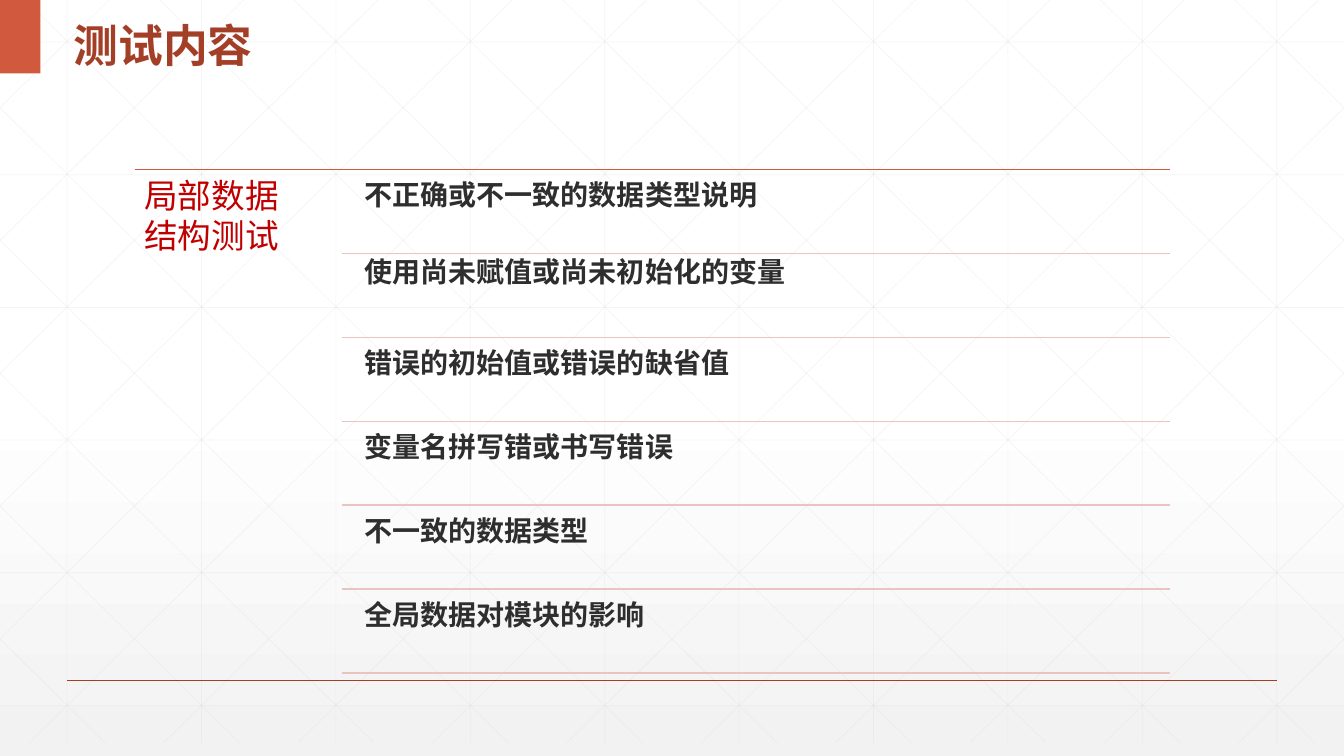
from copy import deepcopy
from dataclasses import dataclass

from pptx import Presentation
from pptx.dml.color import RGBColor
from pptx.enum.shapes import MSO_CONNECTOR, MSO_SHAPE
from pptx.enum.text import MSO_ANCHOR, MSO_AUTO_SIZE, PP_ALIGN
from pptx.oxml.ns import qn
from pptx.util import Cm, Pt


@dataclass(frozen=True)
class Theme:
    font: str = "Arial"
    white: str = "FFFFFF"
    mist: str = "F2F2F2"
    grid: str = "D9D9D9"
    accent: str = "D15A3E"
    dark: str = "A43F27"
    rule: str = "E9C4C0"
    label: str = "C00000"
    ink: str = "2D2E2D"
    title_size: int = 32
    label_size: int = 24
    item_size: int = 20


T = Theme()
WIDTH, HEIGHT = 33.87, 19.05


def add_line(shapes, x1, y1, x2, y2, color, width=1, alpha=None):
    c = shapes.add_connector(MSO_CONNECTOR.STRAIGHT, Cm(x1), Cm(y1), Cm(x2), Cm(y2))
    c.line.color.rgb = RGBColor.from_string(color)
    c.line.width = Pt(width)
    sp_pr = c.element.spPr
    sp_pr.append(sp_pr.makeelement(qn("a:effectLst"), {}))
    if alpha is not None:
        clr = next(sp_pr.iter(qn("a:srgbClr")))
        clr.append(clr.makeelement(qn("a:alpha"), {"val": str(alpha * 1000)}))


def write(tf, lines, size, color, bold, spacing, after=0):
    tf.word_wrap = True
    tf.auto_size = MSO_AUTO_SIZE.NONE
    for i, text in enumerate(lines):
        p = tf.add_paragraph() if i else tf.paragraphs[0]
        p.alignment = PP_ALIGN.LEFT
        p.line_spacing = spacing
        p.space_before = Pt(0)
        p.space_after = Pt(after)
        r = p.add_run()
        r.text = text
        r.font.name = T.font
        r.font.size = Pt(size)
        r.font.bold = bold
        r.font.color.rgb = RGBColor.from_string(color)


prs = Presentation()
prs.slide_width, prs.slide_height = Cm(WIDTH), Cm(HEIGHT)
s = prs.slides.add_slide(prs.slide_layouts[5])

fill = s.background.fill
fill.gradient()
fill.gradient_angle = 270
first = next(s.element.iter(qn("a:gs")))
first.addnext(deepcopy(first))
for stop, position, color in zip(fill.gradient_stops, (0, 0.53, 1), (T.white, T.white, T.mist)):
    stop.position = position
    stop.color.rgb = RGBColor.from_string(color)

grid = s.shapes.add_group_shape().shapes
STEP_X, STEP_Y, GRID_BOTTOM, SLOPE = 3.387, 3.343, 18.72, 0.988
for i in range(10):
    x = 1.69 + i * STEP_X
    add_line(grid, x, 0, x, GRID_BOTTOM, T.grid, 0.5, 25)
for i in range(6):
    y = 1.06 + i * STEP_Y
    add_line(grid, 0, y, WIDTH, y, T.grid, 0.5, 25)
for i in range(-5, 10):
    x = 0.64 + i * STEP_X
    x1, x2 = max(x, 0), min(x + GRID_BOTTOM / SLOPE, WIDTH)
    y1, y2 = (x1 - x) * SLOPE, (x2 - x) * SLOPE
    add_line(grid, x1, y1, x2, y2, T.grid, 0.5, 25)
    add_line(grid, WIDTH - x1, y1, WIDTH - x2, y2, T.grid, 0.5, 25)

add_line(s.shapes, 1.69, 17.15, 32.18, 17.15, T.dark)
tab = s.shapes.add_shape(MSO_SHAPE.RECTANGLE, 0, 0, Cm(1.02), Cm(1.85))
tab.shadow.inherit = False
tab.fill.solid()
tab.fill.fore_color.rgb = RGBColor.from_string(T.accent)
tab.line.fill.background()

title = s.shapes.title
title.left, title.top, title.width, title.height = Cm(1.6), Cm(0), Cm(14.45), Cm(1.85)
title.text_frame.vertical_anchor = MSO_ANCHOR.MIDDLE
write(title.text_frame, ["测试内容"], T.title_size, T.dark, True, 1.3)
s.shapes.element.append(title.element)

LEFT, RIGHT, TOP, ROW = 3.39, 29.49, 4.27, 2.115
add_line(s.shapes, LEFT, TOP, RIGHT, TOP, T.accent)

items = [
    "不正确或不一致的数据类型说明",
    "使用尚未赋值或尚未初始化的变量",
    "错误的初始值或错误的缺省值",
    "变量名拼写错或书写错误",
    "不一致的数据类型",
    "全局数据对模块的影响",
]
boxes = [(LEFT, TOP, 5.23, 12.8, 0.25, ["局部数据", "结构测试"], T.label_size, T.label, False)]
for i, item in enumerate(items):
    y = TOP + 0.1 + i * ROW - (0.18 if i == 1 else 0)
    boxes.append((8.99, y, 20.5, 2.01, 0.2, [item], T.item_size, T.ink, True))
    rule_y = TOP + (i + 1) * ROW
    add_line(s.shapes, 8.61, rule_y, RIGHT, rule_y, T.rule)

for x, y, w, h, inset, lines, size, color, bold in boxes:
    tf = s.shapes.add_textbox(Cm(x), Cm(y), Cm(w), Cm(h)).text_frame
    tf.margin_left = tf.margin_top = tf.margin_right = tf.margin_bottom = Cm(inset)
    write(tf, lines, size, color, bold, 0.9, 3)

prs.save("out.pptx")
